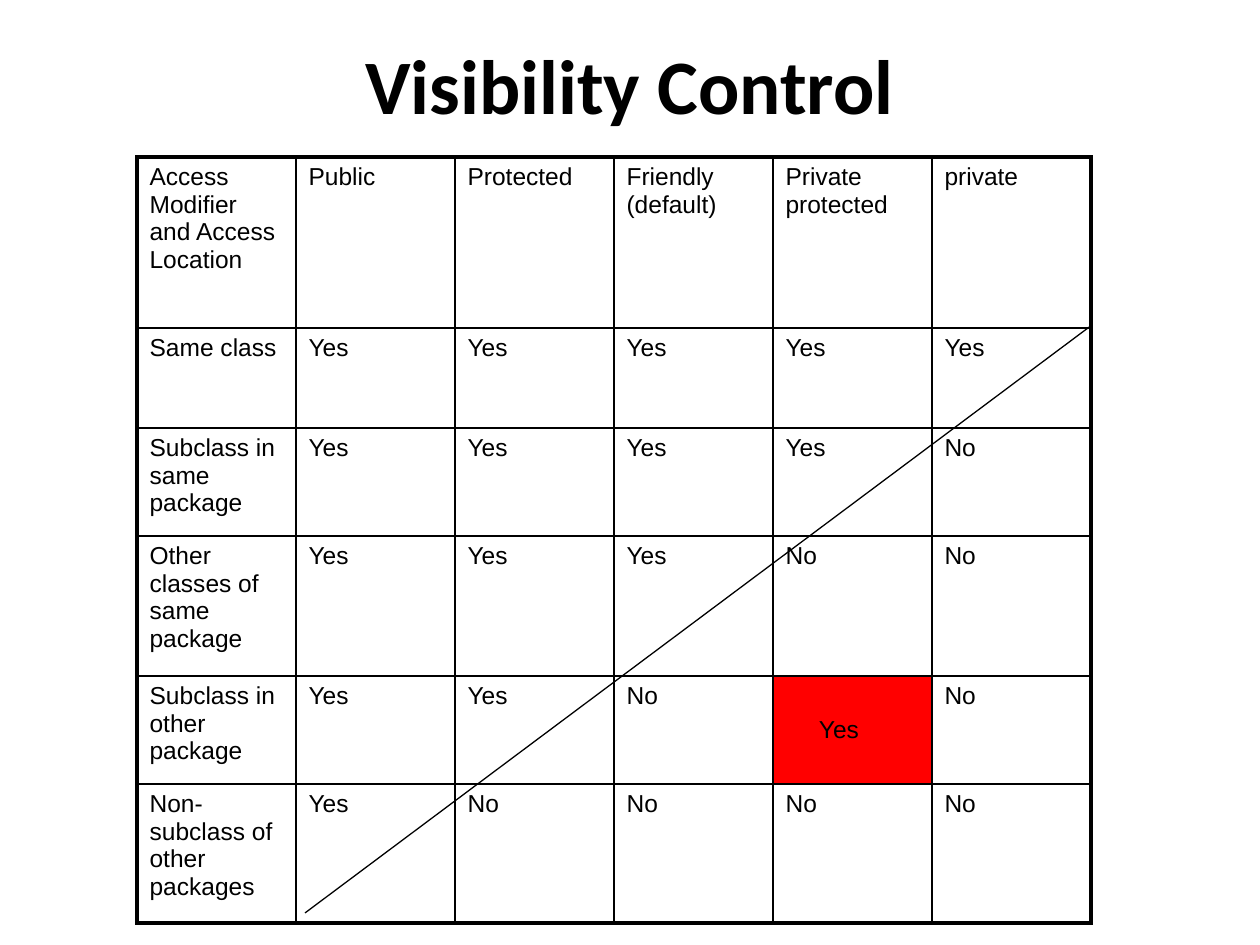
import pptx
import pptx.util
import pptx.dml.color
import pptx.enum.shapes
import pptx.enum.text
import pptx.oxml.ns
import lxml.etree

PX = pptx.util.Inches(1) / 126
COLORS = {"ink": "000000", "highlight": "FF0000"}

COLUMN_WIDTH = 159
ROW_HEIGHTS = [171, 100, 108, 140, 108, 139]
ACCESS_RULES = [
    ["Access Modifier and Access Location", "Public", "Protected",
     "Friendly (default)", "Private protected", "private"],
    ["Same class", "Yes", "Yes", "Yes", "Yes", "Yes"],
    ["Subclass in same package", "Yes", "Yes", "Yes", "Yes", "No"],
    ["Other classes of same package", "Yes", "Yes", "Yes", "No", "No"],
    ["Subclass in other package", "Yes", "Yes", "No", "Yes", "No"],
    ["Non-subclass of other packages", "Yes", "No", "No", "No", "No"],
]
EXCEPTION = (4, 4)  # row and column of the highlighted answer


def px(length):
    return pptx.util.Emu(round(length * PX))


def rgb(name):
    return pptx.dml.color.RGBColor.from_string(COLORS[name])


def write(frame, text, *, size, font, bold=False, align="LEFT", anchor="TOP"):
    frame.word_wrap = True
    frame.vertical_anchor = pptx.enum.text.MSO_ANCHOR[anchor]
    paragraph = frame.paragraphs[0]
    paragraph.alignment = pptx.enum.text.PP_ALIGN[align]
    run = paragraph.add_run()
    run.text = text
    run.font.size = pptx.util.Pt(size)
    run.font.name = font
    run.font.bold = bold
    run.font.color.rgb = rgb("ink")


def add_border(cell, side, points):
    qn = pptx.oxml.ns.qn
    border = lxml.etree.SubElement(cell._tc.get_or_add_tcPr(), qn(f"a:ln{side}"),
                                   w=str(pptx.util.Pt(points)))
    fill = lxml.etree.SubElement(border, qn("a:solidFill"))
    lxml.etree.SubElement(fill, qn("a:srgbClr"), val=COLORS["ink"])


def add_title(slide, text):
    title = slide.shapes.title
    title.left, title.top, title.width, title.height = px(0), px(21), px(1260), px(126)
    write(title.text_frame, text, size=44, font="Calibri", bold=True,
          align="CENTER", anchor="MIDDLE")


def add_access_table(slide):
    last_row, last_column = len(ACCESS_RULES) - 1, len(ACCESS_RULES[0]) - 1
    table = slide.shapes.add_table(
        last_row + 1, last_column + 1, px(137), px(157),
        px(COLUMN_WIDTH * (last_column + 1)), px(sum(ROW_HEIGHTS))).table
    table.first_row = table.horz_banding = False
    for column in table.columns:
        column.width = px(COLUMN_WIDTH)

    for r, answers in enumerate(ACCESS_RULES):
        table.rows[r].height = px(ROW_HEIGHTS[r])
        for c, answer in enumerate(answers):
            cell = table.cell(r, c)
            # Thick frame outside, thin grid inside
            outer = {"L": c == 0, "R": c == last_column, "T": r == 0, "B": r == last_row}
            for side, is_outer in outer.items():
                add_border(cell, side, 2.25 if is_outer else 1)
            write(cell.text_frame, answer, size=14, font="Arial")
            if (r, c) == EXCEPTION:
                cell.fill.solid()
                cell.fill.fore_color.rgb = rgb("highlight")
                cell.margin_left = px(46)
                cell.vertical_anchor = pptx.enum.text.MSO_ANCHOR.MIDDLE
            else:
                cell.fill.background()


def add_line(slide, start, end):
    line = slide.shapes.add_connector(
        pptx.enum.shapes.MSO_CONNECTOR.STRAIGHT, *map(px, start + end))
    line.line.color.rgb = rgb("ink")
    line.line.width = pptx.util.Pt(0.75)
    lxml.etree.SubElement(line._element.spPr, pptx.oxml.ns.qn("a:effectLst"))


def main():
    deck = pptx.Presentation()
    deck.slide_width, deck.slide_height = px(1260), px(945)
    slide = deck.slides.add_slide(deck.slide_layouts[5])

    add_title(slide, "Visibility Control")
    add_access_table(slide)
    # Diagonal between the visible and hidden cases
    add_line(slide, (305, 913), (1092, 325))

    deck.save("out.pptx")


if __name__ == "__main__":
    main()
